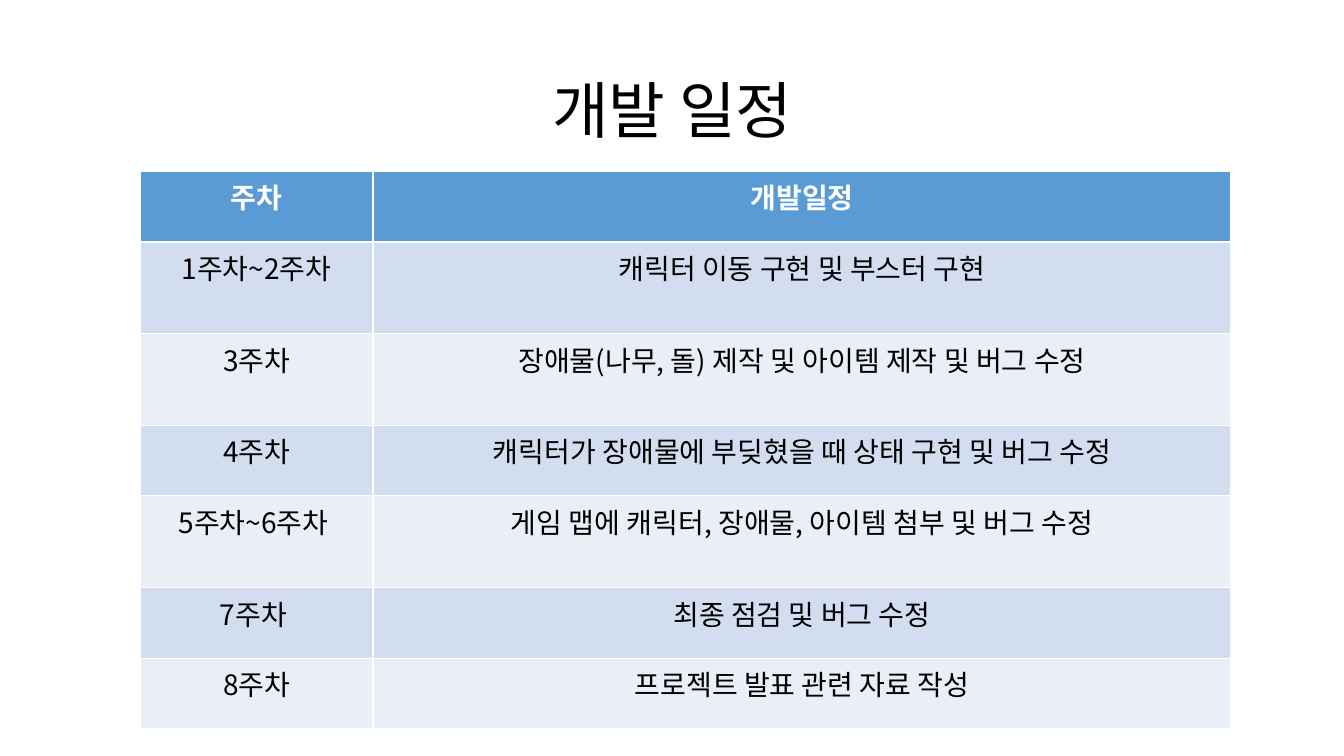
import dataclasses

import pptx
import pptx.dml.color
import pptx.enum.text
import pptx.oxml.ns
import pptx.util
from lxml import etree


@dataclasses.dataclass(frozen=True)
class Theme:
    font: str = "Noto Sans CJK KR"
    text: str = "000000"
    header_text: str = "FFFFFF"
    header_fill: str = "5B9BD5"
    bands: tuple = ("D2DEEF", "EAEFF7")
    title_size: int = 44
    table_size: int = 20


THEME = Theme()
SLIDE_WIDTH, SLIDE_HEIGHT = 13.33, 7.5
TITLE_BOX = (0.92, 0.4, 11.5, 1.45)
TABLE_BOX = (1.39, 1.7, 10.82, 5.53)
COLUMN_SHARES = (0.2135, 0.7865)
SHORT_ROW, TALL_ROW = 0.7, 0.91  # relative row heights

HEADER = ("주차", "개발일정")
# Week, task, relative row height
SCHEDULE = (
    ("1주차~2주차", "캐릭터 이동 구현 및 부스터 구현", TALL_ROW),
    ("3주차", "장애물(나무, 돌) 제작 및 아이템 제작 및 버그 수정", TALL_ROW),
    ("4주차", "캐릭터가 장애물에 부딪혔을 때 상태 구현 및 버그 수정", SHORT_ROW),
    ("5주차~6주차 ", "게임 맵에 캐릭터, 장애물, 아이템 첨부 및 버그 수정", TALL_ROW),
    ("7주차 ", "최종 점검 및 버그 수정", SHORT_ROW),
    ("8주차", "프로젝트 발표 관련 자료 작성", SHORT_ROW),
)


def write_text(text_frame, text, *, size, color, bold=False, line_spacing=1.0):
    paragraph = text_frame.paragraphs[0]
    paragraph.alignment = pptx.enum.text.PP_ALIGN.CENTER
    paragraph.line_spacing = line_spacing
    run = paragraph.add_run()
    run.text = text
    run.font.name = THEME.font
    run.font.size = pptx.util.Pt(size)
    run.font.bold = bold
    run.font.color.rgb = pptx.dml.color.RGBColor.from_string(color)
    # Hangul takes its typeface from the East Asian font
    east_asian = etree.SubElement(run.font._element, pptx.oxml.ns.qn("a:ea"))
    east_asian.set("typeface", THEME.font)


def place_title(slide, box, text):
    title = slide.shapes.title
    title.left, title.top, title.width, title.height = map(pptx.util.Inches, box)
    title.text_frame.vertical_anchor = pptx.enum.text.MSO_ANCHOR.MIDDLE
    write_text(title.text_frame, text, size=THEME.title_size,
               color=THEME.text, line_spacing=0.9)


def place_schedule(slide, box, header, schedule):
    rows = [(*header, SHORT_ROW), *schedule]
    width, height = box[2:]
    # The default table style draws the white rules between cells
    table = slide.shapes.add_table(
        len(rows), len(header), *map(pptx.util.Inches, box)).table
    for column, share in zip(table.columns, COLUMN_SHARES):
        column.width = pptx.util.Inches(width * share)

    total = sum(row[-1] for row in rows)
    for row_index, (*texts, row_height) in enumerate(rows):
        table.rows[row_index].height = pptx.util.Inches(height * row_height / total)
        is_header = row_index == 0
        fill = THEME.header_fill if is_header else THEME.bands[(row_index - 1) % 2]
        for column_index, text in enumerate(texts):
            cell = table.cell(row_index, column_index)
            cell.fill.solid()
            cell.fill.fore_color.rgb = pptx.dml.color.RGBColor.from_string(fill)
            write_text(cell.text_frame, text, size=THEME.table_size, bold=is_header,
                       color=THEME.header_text if is_header else THEME.text)


def main():
    presentation = pptx.Presentation()
    presentation.slide_width = pptx.util.Inches(SLIDE_WIDTH)
    presentation.slide_height = pptx.util.Inches(SLIDE_HEIGHT)
    title_only = presentation.slide_layouts[5]
    slide = presentation.slides.add_slide(title_only)
    place_title(slide, TITLE_BOX, "개발 일정")
    place_schedule(slide, TABLE_BOX, HEADER, SCHEDULE)
    presentation.save("out.pptx")


if __name__ == "__main__":
    main()
